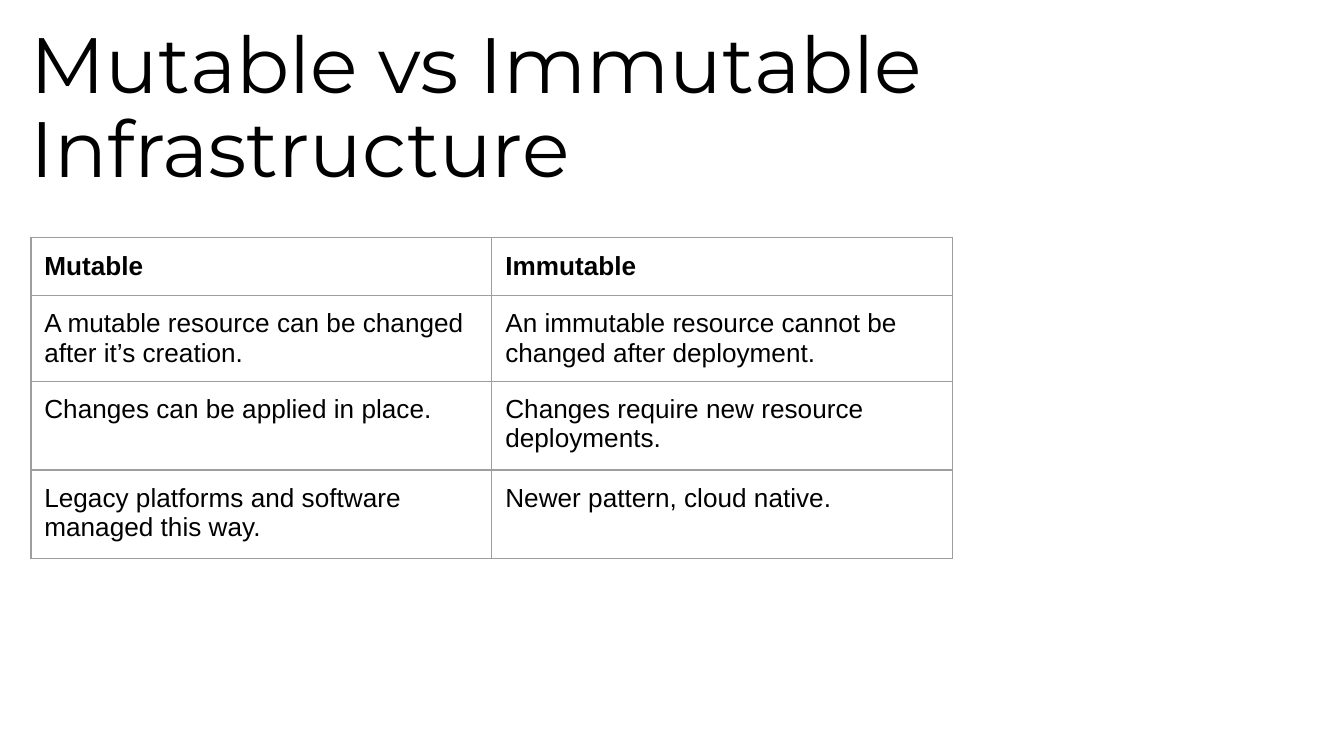
from dataclasses import dataclass

from lxml import etree
from pptx import Presentation
from pptx.dml.color import RGBColor
from pptx.enum.text import MSO_ANCHOR, MSO_AUTO_SIZE, PP_ALIGN
from pptx.oxml.ns import qn
from pptx.util import Inches, Pt

TOP = MSO_ANCHOR.TOP
LEFT = PP_ALIGN.LEFT
NO_AUTOFIT = MSO_AUTO_SIZE.NONE
TITLE_ONLY_LAYOUT = 5


@dataclass(frozen=True)
class Theme:
    title_font: str = "Montserrat"
    body_font: str = "Arial"
    title_size: Pt = Pt(42)
    body_size: Pt = Pt(14)
    text: RGBColor = RGBColor(0, 0, 0)
    border: str = "9E9E9E"
    border_width: Pt = Pt(0.75)
    cell_margin: Inches = Inches(0.1)


THEME = Theme()

COMPARISON = [
    ("Mutable", "Immutable"),
    ("A mutable resource can be changed after it’s creation.",
     "An immutable resource cannot be changed after deployment."),
    ("Changes can be applied in place.",
     "Changes require new resource deployments."),
    ("Legacy platforms and software managed this way.",
     "Newer pattern, cloud native."),
]
ROW_HEIGHTS = [Inches(height) for height in (0.43, 0.43, 0.66, 0.66)]


def set_font(paragraph, name, size, bold=False):
    paragraph.alignment = LEFT
    paragraph.font.name = name
    paragraph.font.size = size
    paragraph.font.bold = bold
    paragraph.font.color.rgb = THEME.text


def set_margins(holder, margin):
    holder.margin_left = holder.margin_right = margin
    holder.margin_top = holder.margin_bottom = margin


def add_borders(cell):
    # Border lines must come before the fill in the cell properties
    properties = cell._tc.get_or_add_tcPr()
    for position, side in enumerate(("a:lnL", "a:lnR", "a:lnT", "a:lnB")):
        line = etree.Element(qn(side), w=str(THEME.border_width))
        fill = etree.SubElement(line, qn("a:solidFill"))
        etree.SubElement(fill, qn("a:srgbClr"), val=THEME.border)
        properties.insert(position, line)


def place_title(slide, text, left, top, width, height):
    title = slide.shapes.title
    title.left, title.top, title.width, title.height = left, top, width, height
    frame = title.text_frame
    frame.text = text
    frame.word_wrap = True
    frame.auto_size = NO_AUTOFIT
    frame.vertical_anchor = TOP
    set_margins(frame, 0)
    paragraph = frame.paragraphs[0]
    paragraph.line_spacing = 0.9
    set_font(paragraph, THEME.title_font, THEME.title_size)


def add_comparison_table(slide, rows, left, top, width):
    column_count = len(rows[0])
    table = slide.shapes.add_table(
        len(rows), column_count, left, top, width, sum(ROW_HEIGHTS)).table
    table.horz_banding = False
    for column in table.columns:
        column.width = width // column_count
    for row_index, texts in enumerate(rows):
        table.rows[row_index].height = ROW_HEIGHTS[row_index]
        for column_index, text in enumerate(texts):
            cell = table.cell(row_index, column_index)
            cell.text = text
            cell.vertical_anchor = TOP
            cell.fill.background()
            set_margins(cell, THEME.cell_margin)
            add_borders(cell)
            set_font(cell.text_frame.paragraphs[0], THEME.body_font,
                     THEME.body_size, bold=row_index == 0)


def main():
    # Widescreen 16:9 slide
    presentation = Presentation()
    presentation.slide_width = Inches(10)
    presentation.slide_height = Inches(10) * 9 // 16
    slide = presentation.slides.add_slide(
        presentation.slide_layouts[TITLE_ONLY_LAYOUT])

    left = Inches(0.23)
    place_title(slide, "Mutable vs Immutable Infrastructure",
                left, Inches(0.19), Inches(9.1), Inches(1.33))
    add_comparison_table(slide, COMPARISON, left, Inches(1.77), Inches(6.86))

    presentation.save("out.pptx")


if __name__ == "__main__":
    main()
